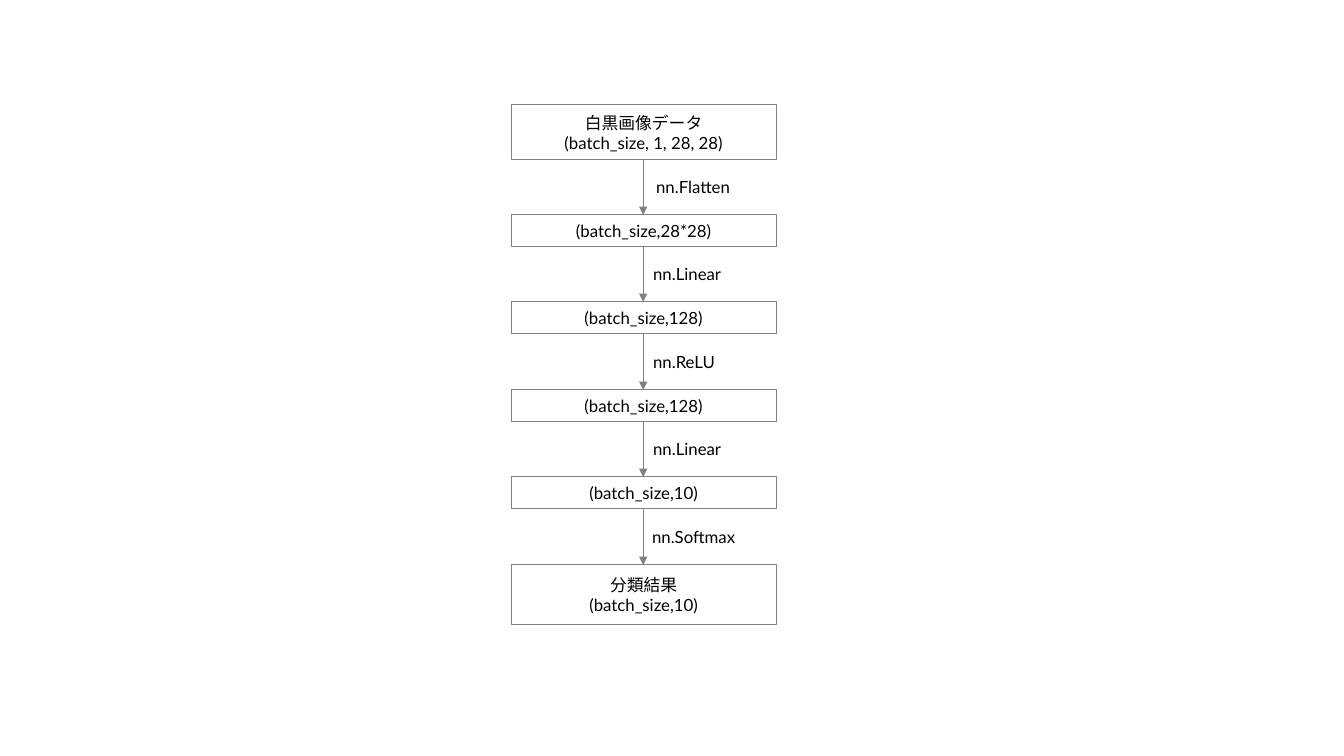
from lxml import etree
from pptx import Presentation, util as u
from pptx.dml.color import RGBColor
from pptx.enum import shapes, text
from pptx.oxml.ns import qn

SCALE = 914400 / 100.8
COLORS = {"fill": "FFFFFF", "line": "808080", "text": "000000"}


def px(n):
    return u.Emu(round(n * SCALE))


def color(name):
    return RGBColor.from_string(COLORS[name])


class Diagram:
    font, size = "Lato", 12

    def __init__(self, slide):
        self.s = slide

    def set_text(self, sp, lines, align):
        tf = sp.text_frame
        tf.word_wrap = True
        tf.vertical_anchor = text.MSO_ANCHOR.MIDDLE
        tf.text = "\n".join(lines)
        for p in tf.paragraphs:
            p.alignment = align
            p.font.name, p.font.size = self.font, u.Pt(self.size)
            p.font.color.rgb = color("text")

    def box(self, x, y, w, h, lines):
        sp = self.s.shapes.add_shape(shapes.MSO_SHAPE.RECTANGLE, px(x), px(y), px(w), px(h))
        sp.shadow.inherit = False
        sp.fill.solid()
        sp.fill.fore_color.rgb = color("fill")
        sp.line.color.rgb = color("line")
        sp.line.width = u.Pt(0.75)
        self.set_text(sp, lines, text.PP_ALIGN.CENTER)

    def label(self, x, y, w, h, line):
        sp = self.s.shapes.add_textbox(px(x), px(y), px(w), px(h))
        self.set_text(sp, [line], text.PP_ALIGN.LEFT)

    def arrow(self, x, y1, y2):
        c = self.s.shapes.add_connector(shapes.MSO_CONNECTOR.STRAIGHT, px(x), px(y1), px(x), px(y2))
        c.line.color.rgb = color("line")
        c.line.width = u.Pt(0.5)
        pr = c._element.spPr
        etree.SubElement(pr.find(qn("a:ln")), qn("a:tailEnd"), type="triangle")
        etree.SubElement(pr, qn("a:effectLst"))


prs = Presentation()
prs.slide_width, prs.slide_height = u.Inches(13.33), u.Inches(7.5)
d = Diagram(prs.slides.add_slide(prs.slide_layouts[6]))

LEFT, WIDTH, AXIS = 511, 265, 643
LABEL_W, LABEL_H = 156, 32
layers = [
    (105, 55, ["白黒画像データ", "(batch_size, 1, 28, 28)"]),
    (215, 32, ["(batch_size,28*28)"]),
    (302, 32, ["(batch_size,128)"]),
    (390, 32, ["(batch_size,128)"]),
    (477, 32, ["(batch_size,10)"]),
    (565, 60, ["分類結果", "(batch_size,10)"]),
]
operations = [("nn.Flatten", 646), ("nn.Linear", 643), ("nn.ReLU", 643),
              ("nn.Linear", 643), ("nn.Softmax", 642)]

for top, height, lines in layers:
    d.box(LEFT, top, WIDTH, height, lines)
for (top, height, _), (end, _, _), (name, x) in zip(layers, layers[1:], operations):
    start = top + height
    d.arrow(AXIS, start, end)
    d.label(x, (start + end - LABEL_H) // 2, LABEL_W, LABEL_H, name)

prs.save("out.pptx")
